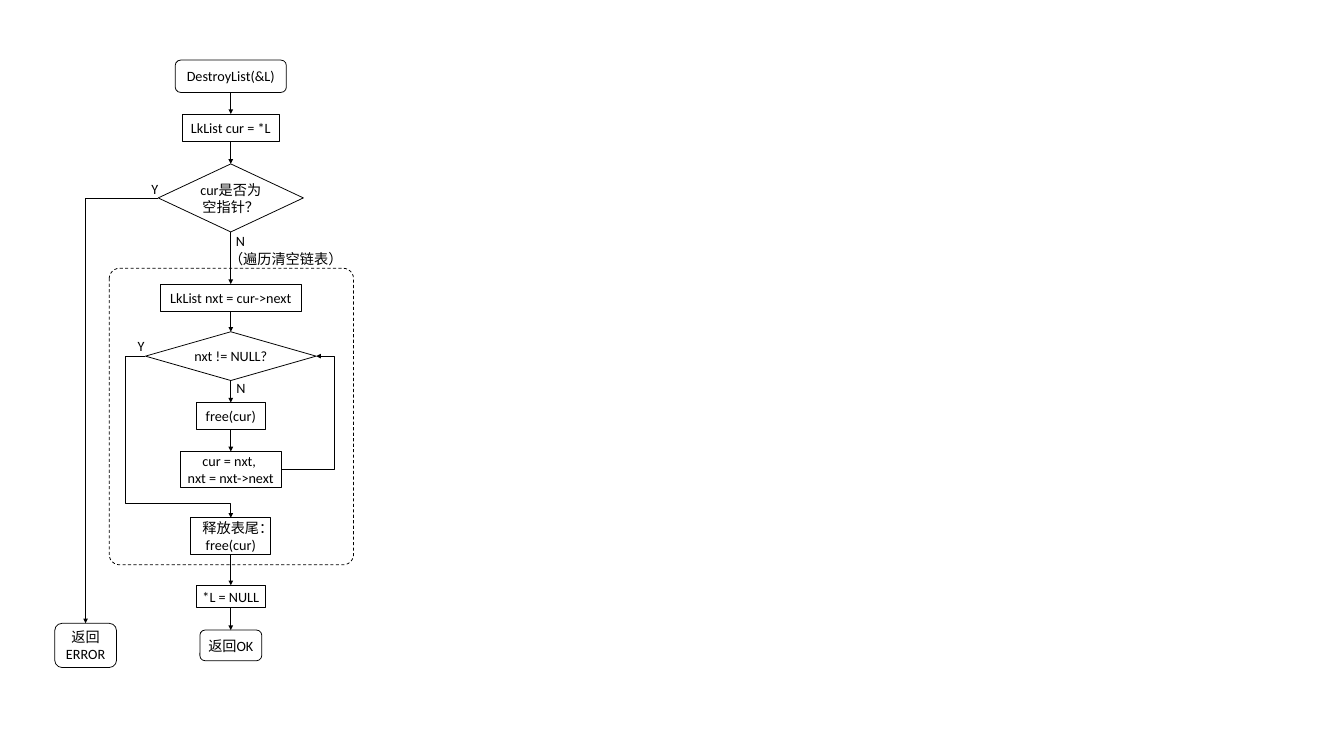
import pptx
import pptx.util
import pptx.dml.color
import pptx.enum.shapes
import pptx.enum.text
import pptx.enum.dml
import pptx.oxml
import pptx.oxml.ns

Inches, Pt = pptx.util.Inches, pptx.util.Pt
RGB = pptx.dml.color.RGBColor.from_string
MSO = pptx.enum.shapes.MSO_SHAPE
CXN = pptx.enum.shapes.MSO_CONNECTOR
ALIGN = pptx.enum.text.PP_ALIGN
qn = pptx.oxml.ns.qn

COLORS = {"ink": "000000", "paper": "FFFFFF"}
FONT = {"name": "Calibri", "size": Pt(18)}
CENTER_X = 4.07
TOP, LEFT, BOTTOM, RIGHT = range(4)

prs = pptx.Presentation()
prs.slide_width, prs.slide_height = Inches(23.7), Inches(13.33)
s = prs.slides.add_slide(prs.slide_layouts[6])


def write(sp, text, align):
    """Put text into a shape, one paragraph per line."""
    for i, line in enumerate(text.split("\n")):
        tf = sp.text_frame
        p = tf.paragraphs[0] if i == 0 else tf.add_paragraph()
        p.alignment = align
        r = p.add_run()
        r.text = line
        for key, value in FONT.items():
            setattr(r.font, key, value)
        r.font.color.rgb = RGB(COLORS["ink"])


def add_box(kind, cx, top, width, height, text=""):
    """Add a white outlined shape centred on cx."""
    sp = s.shapes.add_shape(kind, Inches(cx - width / 2), Inches(top),
                            Inches(width), Inches(height))
    sp.shadow.inherit = False
    sp.fill.solid()
    sp.fill.fore_color.rgb = RGB(COLORS["paper"])
    sp.line.color.rgb = RGB(COLORS["ink"])
    sp.line.width = Pt(1)
    if text:
        sp.text_frame.word_wrap = True
        sp.text_frame.vertical_anchor = pptx.enum.text.MSO_ANCHOR.MIDDLE
        write(sp, text, ALIGN.CENTER)
    return sp


# Dashed frame around the loop
frame = add_box(MSO.ROUNDED_RECTANGLE, 4.08, 4.73, 4.31, 5.23)
frame.adjustments[0] = 0.043
frame.line.dash_style = pptx.enum.dml.MSO_LINE.DASH

# Main column, top to bottom: name, kind, top, width, height, text
STEPS = [
    ("start", MSO.ROUNDED_RECTANGLE, 1.06, 1.96, 0.57, "DestroyList(&L)"),
    ("init", MSO.RECTANGLE, 2.01, 1.71, 0.48, "LkList cur = *L"),
    ("is_null", MSO.FLOWCHART_DECISION, 2.89, 2.56, 1.2, "cur是否为空指针？"),
    ("next", MSO.RECTANGLE, 5.01, 2.48, 0.48, "LkList nxt = cur->next"),
    ("has_next", MSO.FLOWCHART_DECISION, 5.85, 3.01, 0.86, "nxt != NULL?"),
    ("free", MSO.RECTANGLE, 7.1, 1.21, 0.48, "free(cur)"),
    ("advance", MSO.RECTANGLE, 7.96, 1.78, 0.64, "cur = nxt, \nnxt = nxt->next"),
    ("free_tail", MSO.RECTANGLE, 9.13, 1.41, 0.64, "释放表尾：\nfree(cur)"),
    ("clear", MSO.RECTANGLE, 10.32, 1.21, 0.39, "*L = NULL"),
    ("ok", MSO.ROUNDED_RECTANGLE, 11.11, 1.09, 0.54, "返回OK"),
]
boxes = {name: add_box(kind, CENTER_X, *rest) for name, kind, *rest in STEPS}
boxes["error"] = add_box(MSO.ROUNDED_RECTANGLE, 1.51, 10.99, 1.09, 0.78, "返回ERROR")

# Arrows: from, site, to, site, preset, adjustments
names = [step[0] for step in STEPS]
arrows = [(a, BOTTOM, b, TOP, "line", []) for a, b in zip(names, names[1:])
          if a != "advance"]
arrows += [
    ("is_null", LEFT, "error", TOP, "bentConnector2", []),
    ("advance", RIGHT, "has_next", RIGHT, "bentConnector3", [1.531]),
    ("has_next", LEFT, "free_tail", TOP, "bentConnector4", [-0.239, 0.909]),
]
for start, start_site, end, end_site, preset, adjustments in arrows:
    kind = CXN.STRAIGHT if preset == "line" else CXN.ELBOW
    c = s.shapes.add_connector(kind, 0, 0, 0, 0)
    c.begin_connect(boxes[start], start_site)
    c.end_connect(boxes[end], end_site)
    c.line.color.rgb = RGB(COLORS["ink"])
    c.line.width = Pt(1)
    pptx.oxml.xmlchemy.OxmlElement  # noqa: B018
    tail = c.line._get_or_add_ln().makeelement(qn("a:tailEnd"), {"type": "triangle"})
    c.line._get_or_add_ln().append(tail)
    spPr = c._element.spPr
    spPr.append(spPr.makeelement(qn("a:effectLst"), {}))
    geom = spPr.find(qn("a:prstGeom"))
    geom.set("prst", preset)
    guides = geom.find(qn("a:avLst"))
    for i, value in enumerate(adjustments, 1):
        guides.append(guides.makeelement(qn("a:gd"), {
            "name": f"adj{i}", "fmla": f"val {round(value * 100000)}"}))

# Branch labels: left, top, width, text
LABELS = [
    (2.57, 3.13, 0.32, "Y"),
    (4.06, 4.05, 0.36, "N"),
    (3.94, 4.36, 2.22, "（遍历清空链表）"),
    (2.33, 5.9, 0.32, "Y"),
    (4.07, 6.64, 0.36, "N"),
]
for left, top, width, text in LABELS:
    tb = s.shapes.add_textbox(Inches(left), Inches(top), Inches(width), Inches(0.4))
    tb.text_frame.word_wrap = False
    tb.text_frame.auto_size = pptx.enum.text.MSO_AUTO_SIZE.SHAPE_TO_FIT_TEXT
    write(tb, text, ALIGN.LEFT)

prs.save("out.pptx")
